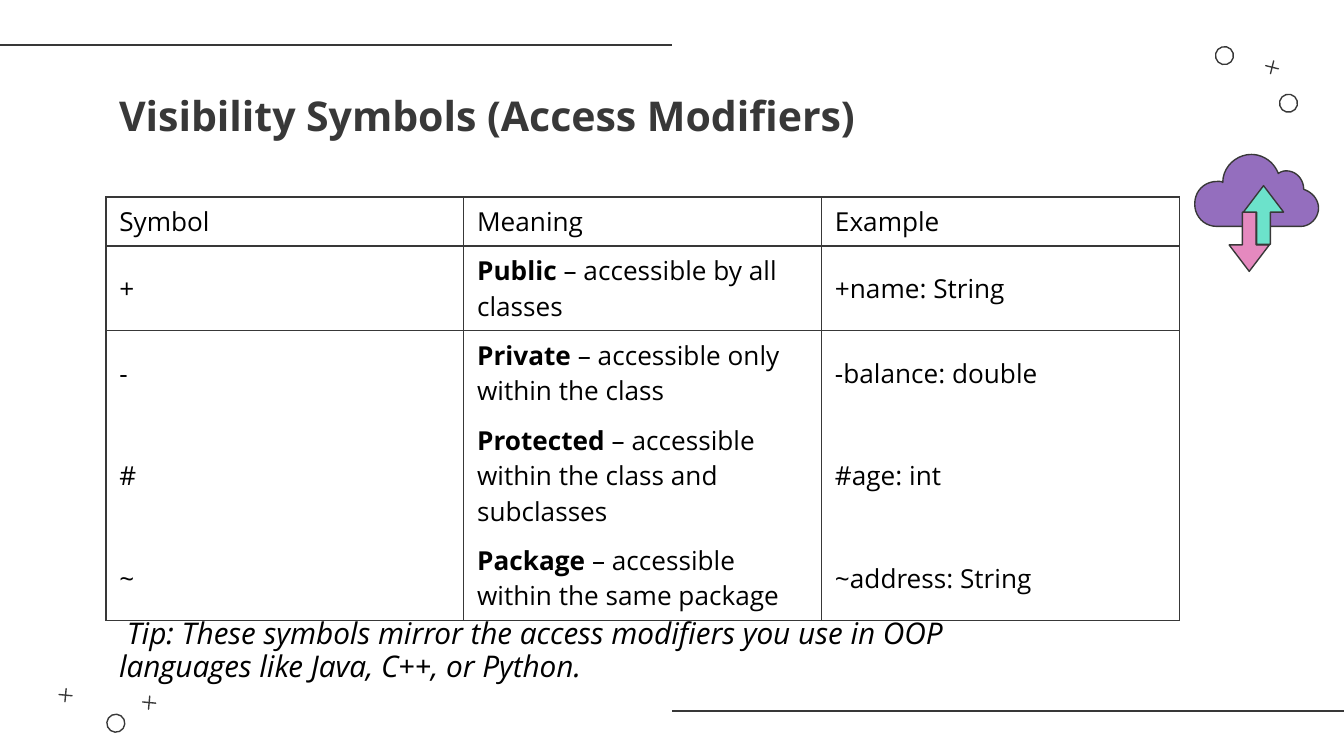
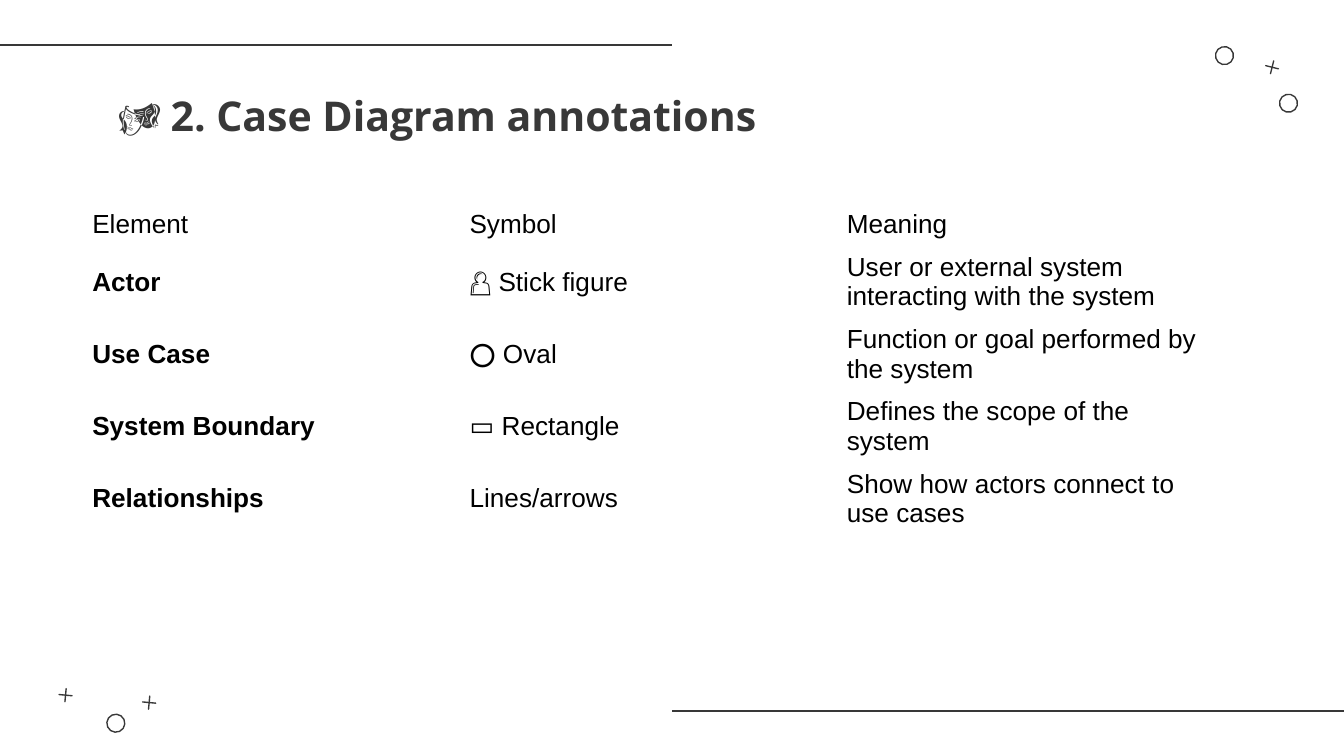
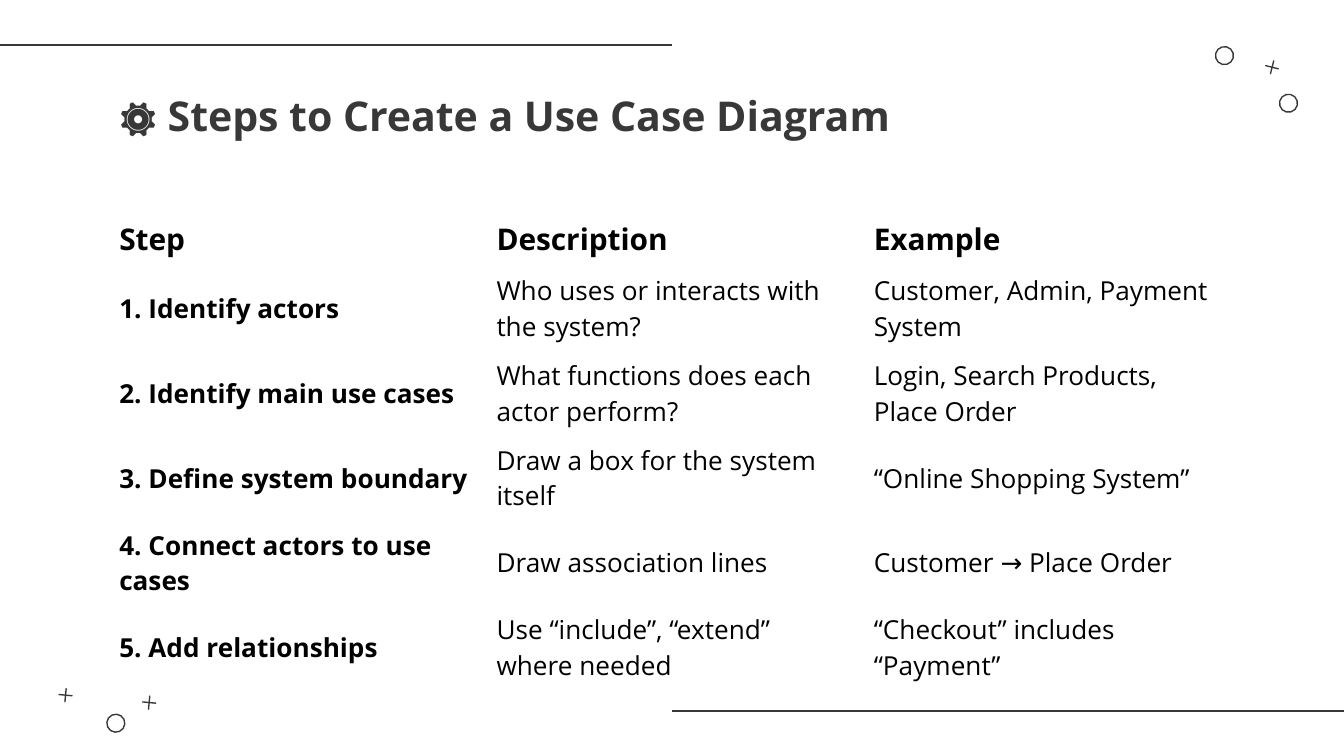
from dataclasses import dataclass

import pptx
import pptx.dml.color
import pptx.enum.shapes
import pptx.enum.text
import pptx.oxml
import pptx.oxml.ns
import pptx.util
from pptx.util import Cm

RGBColor = pptx.dml.color.RGBColor
MSO_SHAPE = pptx.enum.shapes.MSO_SHAPE
Slide = pptx.slide.Slide
Point = tuple[float, float]

INK = RGBColor(0x38, 0x38, 0x38)
BLACK = RGBColor(0x00, 0x00, 0x00)
PURPLE = RGBColor(0x94, 0x6E, 0xBE)
PINK = RGBColor(0xE5, 0x89, 0xBF)
MINT = RGBColor(0x6C, 0xE2, 0xCB)

FONT = "Open Sans"
LINE_WIDTH = 0.75
BORDER_WIDTH = 1
NO_GRID_STYLE = "{2D5ABB26-0587-4C30-8999-92F81FD0307C}"
TITLE_ONLY = 5


@dataclass
class Mark:
    """A small corner ornament; lengths in cm."""
    kind: MSO_SHAPE
    left: float
    top: float
    rotation: float


@dataclass
class Rule:
    """A horizontal line; lengths in cm."""
    left: float
    right: float
    y: float


@dataclass
class Grid:
    """A table; **...** marks bold text, lengths in cm."""
    left: float
    top: float
    width: float
    rows: list[tuple[str, ...]]
    font: str = FONT
    header_size: int = 14
    body_size: int = 14
    bordered: bool = False


MARK_SIZE = 0.34
MARKS = [
    Mark(MSO_SHAPE.OVAL, 24.18, 1.78, 193.8),
    Mark(MSO_SHAPE.MATH_PLUS, 23.87, 1.1, 193.8),
    Mark(MSO_SHAPE.OVAL, 22.97, 0.88, 193.8),
    Mark(MSO_SHAPE.OVAL, 2.02, 13.5, 275.3),
    Mark(MSO_SHAPE.MATH_PLUS, 2.65, 13.11, 275.3),
    Mark(MSO_SHAPE.MATH_PLUS, 1.07, 12.97, 275.3),
]
RULES = [Rule(12.7, 25.4, 13.44), Rule(0, 12.7, 0.85)]

VISIBILITY = Grid(2, 3.72, 20.29, [
    ("Symbol", "Meaning", "Example"),
    ("+", "**Public** – accessible by all classes", "+name: String"),
    ("-", "**Private** – accessible only within the class", "-balance: double"),
    ("#", "**Protected** – accessible within the class and subclasses", "#age: int"),
    ("~", "**Package** – accessible within the same package", "~address: String"),
], bordered=True)

NOTATION = Grid(1.49, 3.84, 21.39, [
    ("Element", "Symbol", "Meaning"),
    ("**Actor**", "👤 Stick figure", "User or external system interacting with the system"),
    ("**Use Case**", "⭕ Oval", "Function or goal performed by the system"),
    ("**System Boundary**", "▭ Rectangle", "Defines the scope of the system"),
    ("**Relationships**", "Lines/arrows", "Show how actors connect to use cases"),
], font="Arial")

STEPS = Grid(2, 4.01, 21.39, [
    ("**Step**", "**Description**", "**Example**"),
    ("**1. Identify actors**", "Who uses or interacts with the system?",
     "Customer, Admin, Payment System"),
    ("**2. Identify main use cases**", "What functions does each actor perform?",
     "Login, Search Products, Place Order"),
    ("**3. Define system boundary**", "Draw a box for the system itself",
     "“Online Shopping System”"),
    ("**4. Connect actors to use cases**", "Draw association lines",
     "Customer → Place Order"),
    ("**5. Add relationships**", "Use “include”, “extend” where needed",
     "“Checkout” includes “Payment”"),
], header_size=16)

# Cloud outline: each curve is two control points and an end point, in cm
CLOUD_START = (23.65, 2.92)
CLOUD_CURVES = [
    ((23.37, 2.92), (23.11, 3.15), (23.11, 3.45)),
    ((23.09, 3.43), (23.06, 3.43), (23.01, 3.43)),
    ((22.76, 3.43), (22.58, 3.61), (22.58, 3.86)),
    ((22.58, 4.09), (22.76, 4.28), (22.99, 4.28)),
    ((23.5, 4.28), (24.1, 4.28), (24.59, 4.28)),
    ((24.77, 4.28), (24.92, 4.11), (24.92, 3.94)),
    ((24.92, 3.76), (24.79, 3.63), (24.64, 3.58)),
    ((24.64, 3.38), (24.49, 3.23), (24.31, 3.23)),
    ((24.26, 3.23), (24.2, 3.25), (24.16, 3.28)),
    ((24.08, 3.07), (23.88, 2.92), (23.65, 2.92)),
]


def style_font(font: pptx.text.text.Font, size: float, color: RGBColor,
               name: str = FONT, bold: bool = False, italic: bool = False) -> None:
    font.name, font.size = name, pptx.util.Pt(size)
    font.bold, font.italic = bold, italic
    font.color.rgb = color


def style_line(line: pptx.dml.line.LineFormat) -> None:
    line.color.rgb = INK
    line.width = pptx.util.Pt(LINE_WIDTH)


# Shared frame: ornaments, rules and title
def add_mark(s: Slide, mark: Mark) -> None:
    sp = s.shapes.add_shape(mark.kind, Cm(mark.left), Cm(mark.top),
                            Cm(MARK_SIZE), Cm(MARK_SIZE))
    sp.rotation = mark.rotation
    sp.shadow.inherit = False
    sp.fill.background()
    style_line(sp.line)
    if mark.kind == MSO_SHAPE.MATH_PLUS:
        sp.adjustments[0] = 0


def add_rule(s: Slide, rule: Rule) -> None:
    line = s.shapes.add_connector(pptx.enum.shapes.MSO_CONNECTOR.STRAIGHT,
                                  Cm(rule.left), Cm(rule.y), Cm(rule.right), Cm(rule.y))
    style_line(line.line)
    pptx.oxml.ns.qn("a:effectLst")
    line._element.spPr.append(
        line._element.makeelement(pptx.oxml.ns.qn("a:effectLst"), {}))


def add_slide(prs: pptx.presentation.Presentation, title: str) -> Slide:
    s = prs.slides.add_slide(prs.slide_layouts[TITLE_ONLY])
    for mark in MARKS:
        add_mark(s, mark)
    for rule in RULES:
        add_rule(s, rule)
    sp = s.shapes.title
    sp.left, sp.top, sp.width, sp.height = Cm(2), Cm(1.46), Cm(21.39), Cm(1.6)
    tf = sp.text_frame
    tf.text = title
    tf.margin_left = tf.margin_right = tf.margin_top = tf.margin_bottom = Cm(0.25)
    tf.vertical_anchor = pptx.enum.text.MSO_ANCHOR.TOP
    tf.auto_size = pptx.enum.text.MSO_AUTO_SIZE.NONE
    p = tf.paragraphs[0]
    p.alignment = pptx.enum.text.PP_ALIGN.LEFT
    style_font(p.runs[0].font, 22, INK, bold=True)
    return s


# Tables
def add_borders(cell: pptx.table._Cell, sides: list[str]) -> None:
    tcPr = cell._tc.get_or_add_tcPr()
    for side in sides:
        tcPr.append(pptx.oxml.parse_xml(
            f'<a:ln{side} {pptx.oxml.ns.nsdecls("a")} w="{pptx.util.Pt(BORDER_WIDTH)}">'
            f'<a:solidFill><a:srgbClr val="{INK}"/></a:solidFill></a:ln{side}>'))


def fill_cell(cell: pptx.table._Cell, text: str, size: int, font: str) -> None:
    cell.fill.background()
    cell.vertical_anchor = pptx.enum.text.MSO_ANCHOR.MIDDLE
    p = cell.text_frame.paragraphs[0]
    for i, part in enumerate(text.split("**")):
        if part:
            r = p.add_run()
            r.text = part
            style_font(r.font, size, BLACK, font, bold=i % 2 == 1)


def add_grid(s: Slide, grid: Grid) -> None:
    n_rows, n_cols = len(grid.rows), len(grid.rows[0])
    row_height = Cm(0.8)
    table = s.shapes.add_table(n_rows, n_cols, Cm(grid.left), Cm(grid.top),
                               Cm(grid.width), row_height * n_rows).table
    table.first_row = table.horz_banding = False
    table._tbl.tblPr.find(pptx.oxml.ns.qn("a:tableStyleId")).text = NO_GRID_STYLE
    for i, row in enumerate(grid.rows):
        size = grid.body_size if i else grid.header_size
        for j, text in enumerate(row):
            cell = table.cell(i, j)
            if grid.bordered:
                top = ["T"] if i <= 1 else []
                bottom = ["B"] if i in (0, n_rows - 1) else []
                add_borders(cell, ["L", "R"] + top + bottom)
            fill_cell(cell, text, size, grid.font)


# Cloud with transfer arrows
def add_outline(s: Slide, points: list[Point], color: RGBColor) -> None:
    start, *rest = [(Cm(x), Cm(y)) for x, y in points]
    builder = s.shapes.build_freeform(*start)
    builder.add_line_segments(rest, close=True)
    sp = builder.convert_to_shape()
    sp.shadow.inherit = False
    sp.fill.solid()
    sp.fill.fore_color.rgb = color
    style_line(sp.line)


def curve_points(start: Point, curves: list[tuple[Point, Point, Point]],
                 steps: int = 10) -> list[Point]:
    points = [start]
    for b, c, d in curves:
        a = points[-1]
        for t in (k / steps for k in range(1, steps + 1)):
            u = 1 - t
            weights = (u ** 3, 3 * u * u * t, 3 * u * t * t, t ** 3)
            points.append(tuple(sum(w * q[axis] for w, q in zip(weights, (a, b, c, d)))
                                for axis in (0, 1)))
    return points


def arrow_points(x: float, tail: float, tip: float) -> list[Point]:
    shaft, head = 0.13, 0.38
    neck = tip - 0.5 if tip > tail else tip + 0.5
    return [(x - shaft, tail), (x - shaft, neck), (x - head, neck), (x, tip),
            (x + head, neck), (x + shaft, neck), (x + shaft, tail)]


def add_cloud(s: Slide) -> None:
    add_outline(s, curve_points(CLOUD_START, CLOUD_CURVES), PURPLE)
    add_outline(s, arrow_points(23.61, 4.01, 5.13), PINK)
    add_outline(s, arrow_points(23.88, 4.62, 3.51), MINT)


def add_tip(s: Slide, text: str) -> None:
    tf = s.shapes.add_textbox(Cm(2), Cm(11.58), Cm(16.26), Cm(1.63)).text_frame
    tf.word_wrap = True
    tf.text = text
    p = tf.paragraphs[0]
    p.line_spacing = 0.9
    p._p.get_or_add_pPr().set("indent", str(Cm(0.15)))
    style_font(p.runs[0].font, 16, BLACK, italic=True)


def main() -> None:
    prs = pptx.Presentation()
    prs.slide_width, prs.slide_height = Cm(25.4), Cm(14.29)

    # Slide 1: visibility symbols
    s = add_slide(prs, "Visibility Symbols (Access Modifiers)")
    add_cloud(s)
    add_grid(s, VISIBILITY)
    add_tip(s, "Tip: These symbols mirror the access modifiers you use in OOP "
               "languages like Java, C++, or Python.")

    # Slide 2: use case notation
    s = add_slide(prs, "🎭 2. Case Diagram annotations")
    add_grid(s, NOTATION)

    # Slide 3: steps
    s = add_slide(prs, "⚙️ Steps to Create a Use Case Diagram")
    add_grid(s, STEPS)

    prs.save("out.pptx")


if __name__ == "__main__":
    main()
